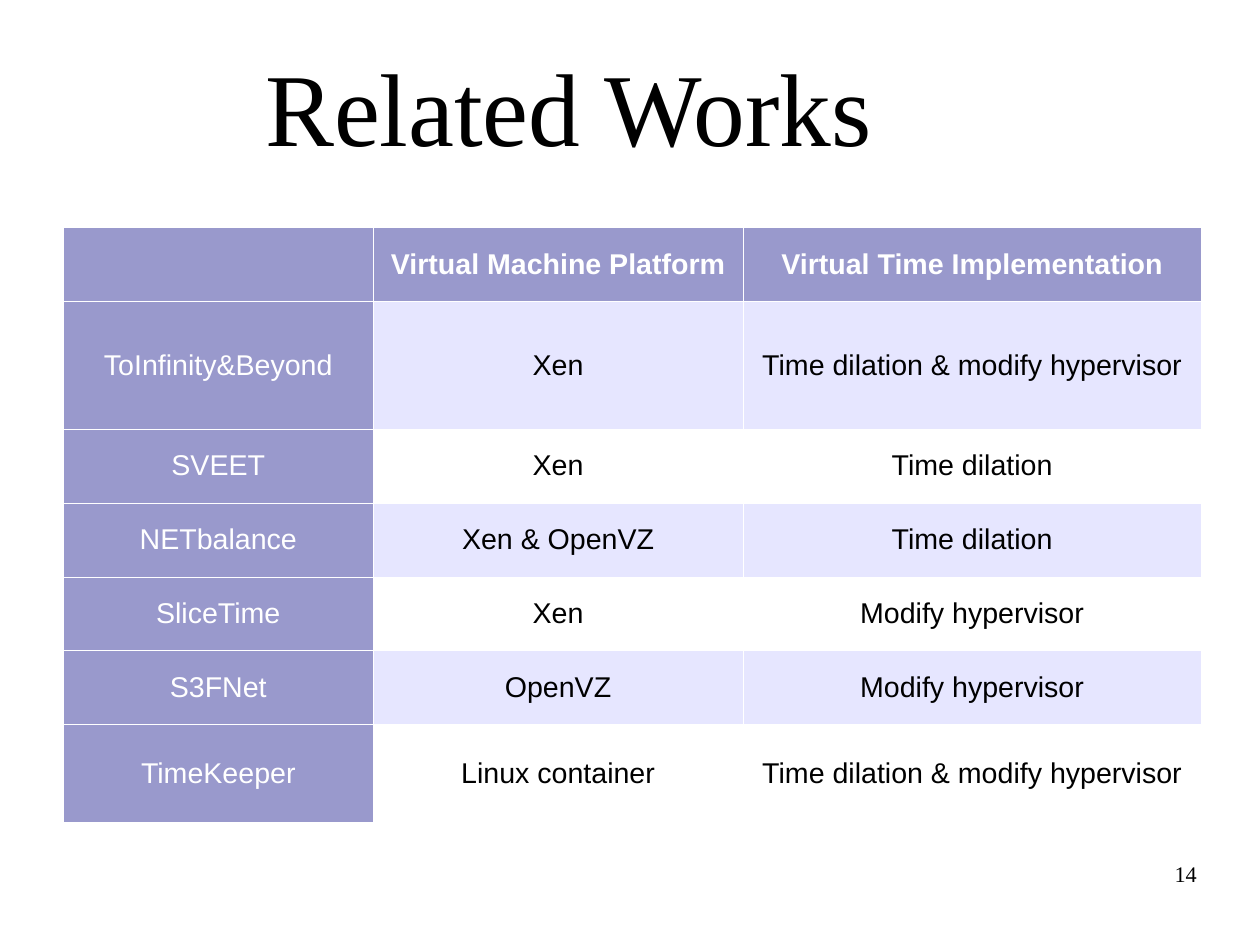
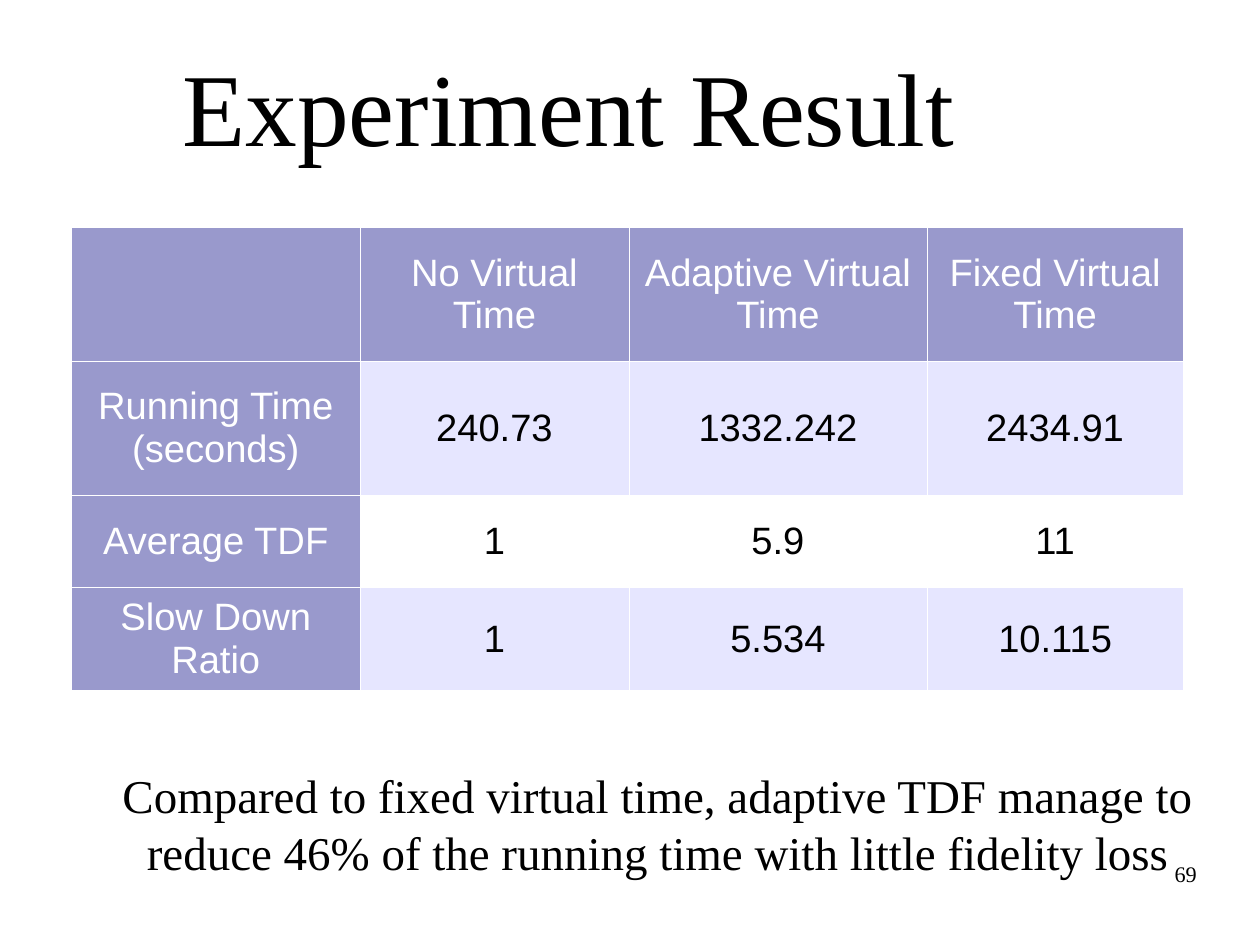
"""Build two slides that compare virtual time systems and their results."""
import dataclasses
import typing

import pptx
import pptx.dml.color
import pptx.enum.text
import pptx.oxml
import pptx.oxml.ns
import pptx.slide
import pptx.text.text
import pptx.util

Pt = pptx.util.Pt
Align = pptx.enum.text.PP_ALIGN
Anchor = pptx.enum.text.MSO_ANCHOR


@dataclasses.dataclass(frozen=True)
class Theme:
    ink: str = "000000"
    paper: str = "FFFFFF"
    heading_fill: str = "9999CC"
    band_fill: str = "E6E6FF"
    serif: str = "Times New Roman"
    sans: str = "Arial"
    title_size: float = 65.1
    takeaway_size: float = 29.6
    number_size: float = 14
    systems_size: float = 18
    results_size: float = 24
    border_width: float = 0.06


@dataclasses.dataclass(frozen=True)
class TextArea:
    left: float
    top: float
    width: float
    height: float
    size: float
    align: Align
    anchor: Anchor = Anchor.TOP


@dataclasses.dataclass(frozen=True)
class Comparison:
    left: float
    top: float
    columns: tuple[float, ...]
    rows: tuple[float, ...]
    size: float
    bold_header: bool
    entries: tuple[tuple[str, ...], ...]


@dataclasses.dataclass(frozen=True)
class Page:
    title: str
    number: str
    comparison: Comparison
    takeaway: str = ""


THEME = Theme()
TITLE = TextArea(39.6, 22.8, 637.5, 87, THEME.title_size, Align.CENTER, Anchor.MIDDLE)
TAKEAWAY = TextArea(72, 483, 685.5, 85.7, THEME.takeaway_size, Align.CENTER)
NUMBER = TextArea(569, 542, 185, 41, THEME.number_size, Align.RIGHT)

PAGES = (
    Page("Related Works", "14", Comparison(
        39.7, 143.3, (195.6, 232.6, 289), (46.5, 80.5, 46.5, 46.5, 46.5, 46.5, 61.7),
        THEME.systems_size, True, (
            ("", "Virtual Machine Platform", "Virtual Time Implementation"),
            ("ToInfinity&Beyond", "Xen", "Time dilation & modify hypervisor"),
            ("SVEET", "Xen", "Time dilation"),
            ("NETbalance", "Xen & OpenVZ", "Time dilation"),
            ("SliceTime", "Xen", "Modify hypervisor"),
            ("S3FNet", "OpenVZ", "Modify hypervisor"),
            ("TimeKeeper", "Linux container", "Time dilation & modify hypervisor"),
        ))),
    Page("Experiment Result", "69", Comparison(
        44.9, 143.2, (182, 169.2, 188, 161.2), (84.2, 84.2, 58.5, 61),
        THEME.results_size, False, (
            ("", "No Virtual Time", "Adaptive Virtual Time", "Fixed Virtual Time"),
            ("Running Time (seconds)", "240.73", "1332.242", "2434.91"),
            ("Average TDF", "1", "5.9", "11"),
            ("Slow Down Ratio", "1", "5.534", "10.115"),
        )),
        "Compared to fixed virtual time, adaptive TDF manage to reduce 46% "
        "of the running time with little fidelity loss"),
)


def apply(target: typing.Any, values: dict[str, typing.Any]) -> None:
    """Set each named attribute on the target."""
    for name, value in values.items():
        setattr(target, name, value)


def rgb(code: str) -> pptx.dml.color.RGBColor:
    """Turn a hex code into a colour."""
    return pptx.dml.color.RGBColor.from_string(code)


def write(paragraph: pptx.text.text._Paragraph, text: str, align: Align,
          color: str, font: dict[str, typing.Any]) -> None:
    """Put one formatted run in a paragraph."""
    paragraph.alignment = align
    run = paragraph.add_run()
    run.text = text
    apply(run.font, font)
    run.font.color.rgb = rgb(color)


def draw_text(slide: pptx.slide.Slide, area: TextArea, text: str) -> None:
    """Draw serif text in an area without margins."""
    frame = slide.shapes.add_textbox(
        Pt(area.left), Pt(area.top), Pt(area.width), Pt(area.height)).text_frame
    apply(frame, {"word_wrap": True, "vertical_anchor": area.anchor,
                  "margin_left": 0, "margin_top": 0,
                  "margin_right": 0, "margin_bottom": 0})
    write(frame.paragraphs[0], text, area.align, THEME.ink,
          {"name": THEME.serif, "size": Pt(area.size)})


def draw_borders(cell: typing.Any) -> None:
    """Outline a cell with thin lines in the paper colour."""
    properties = cell._tc.get_or_add_tcPr()
    for index, side in enumerate(("lnL", "lnR", "lnT", "lnB")):
        properties.insert(index, pptx.oxml.parse_xml(
            f'<a:{side} {pptx.oxml.ns.nsdecls("a")} w="{Pt(THEME.border_width)}">'
            f'<a:solidFill><a:srgbClr val="{THEME.paper}"/></a:solidFill></a:{side}>'))


def draw_comparison(slide: pptx.slide.Slide, comparison: Comparison) -> None:
    """Draw a table with a heading row, a heading column and banded rows."""
    table = slide.shapes.add_table(
        len(comparison.rows), len(comparison.columns),
        Pt(comparison.left), Pt(comparison.top),
        Pt(sum(comparison.columns)), Pt(sum(comparison.rows))).table
    for column, width in zip(table.columns, comparison.columns):
        column.width = Pt(width)
    for row, height in zip(table.rows, comparison.rows):
        row.height = Pt(height)
    for r, entries in enumerate(comparison.entries):
        for c, entry in enumerate(entries):
            heading = r == 0 or c == 0
            band = THEME.band_fill if r % 2 else THEME.paper
            cell = table.cell(r, c)
            cell.vertical_anchor = Anchor.MIDDLE
            cell.fill.solid()
            cell.fill.fore_color.rgb = rgb(THEME.heading_fill if heading else band)
            draw_borders(cell)
            if entry:
                write(cell.text_frame.paragraphs[0], entry, Align.CENTER,
                      THEME.paper if heading else THEME.ink,
                      {"name": THEME.sans, "size": Pt(comparison.size),
                       "bold": comparison.bold_header and r == 0})


def main() -> None:
    """Build and save the presentation."""
    deck = pptx.Presentation()
    apply(deck, {"slide_width": Pt(793.75), "slide_height": Pt(595.25)})
    for page in PAGES:
        slide = deck.slides.add_slide(deck.slide_layouts[6])
        draw_text(slide, TITLE, page.title)
        if page.takeaway:
            draw_text(slide, TAKEAWAY, page.takeaway)
        draw_comparison(slide, page.comparison)
        draw_text(slide, NUMBER, page.number)
    deck.save("out.pptx")


if __name__ == "__main__":
    main()
